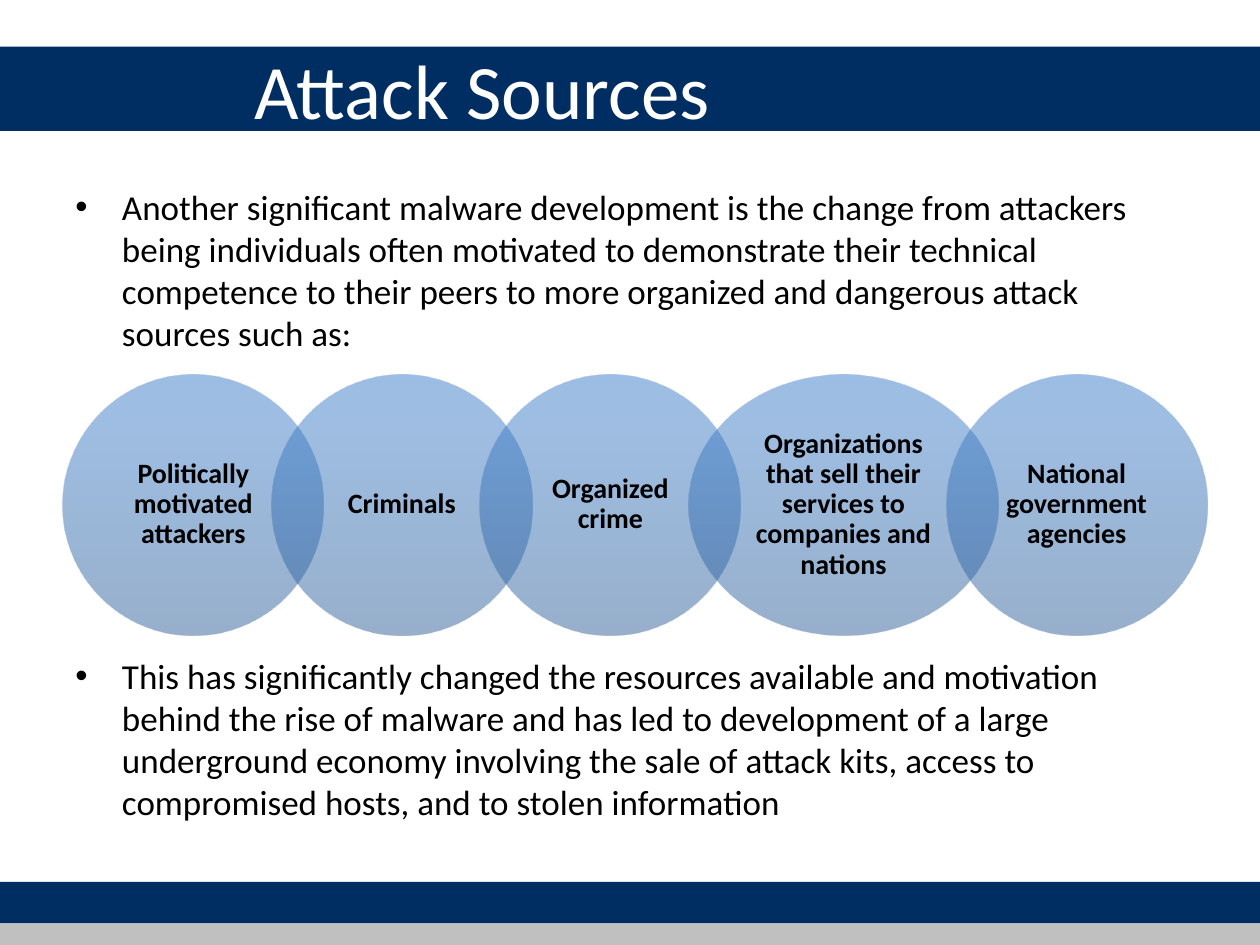
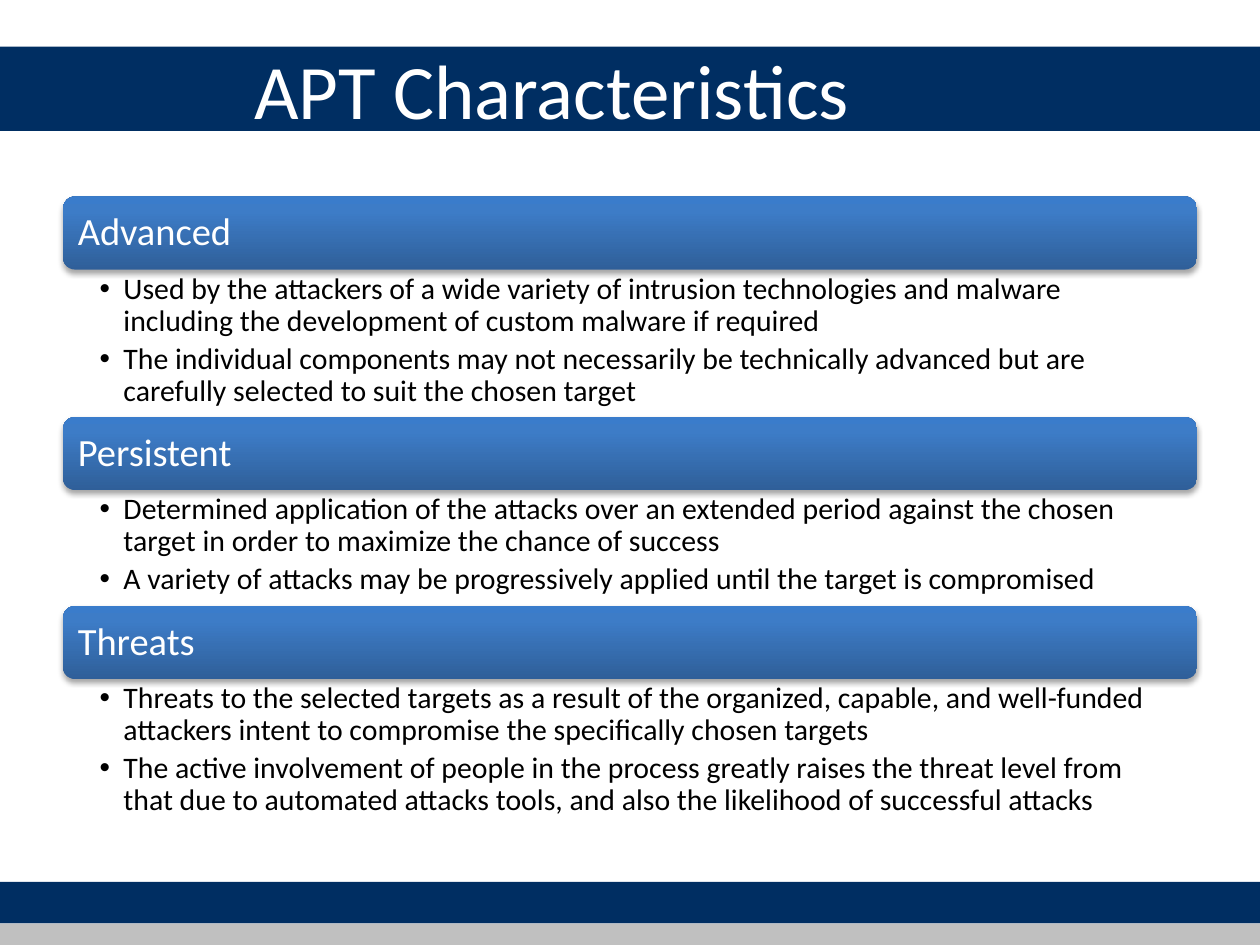
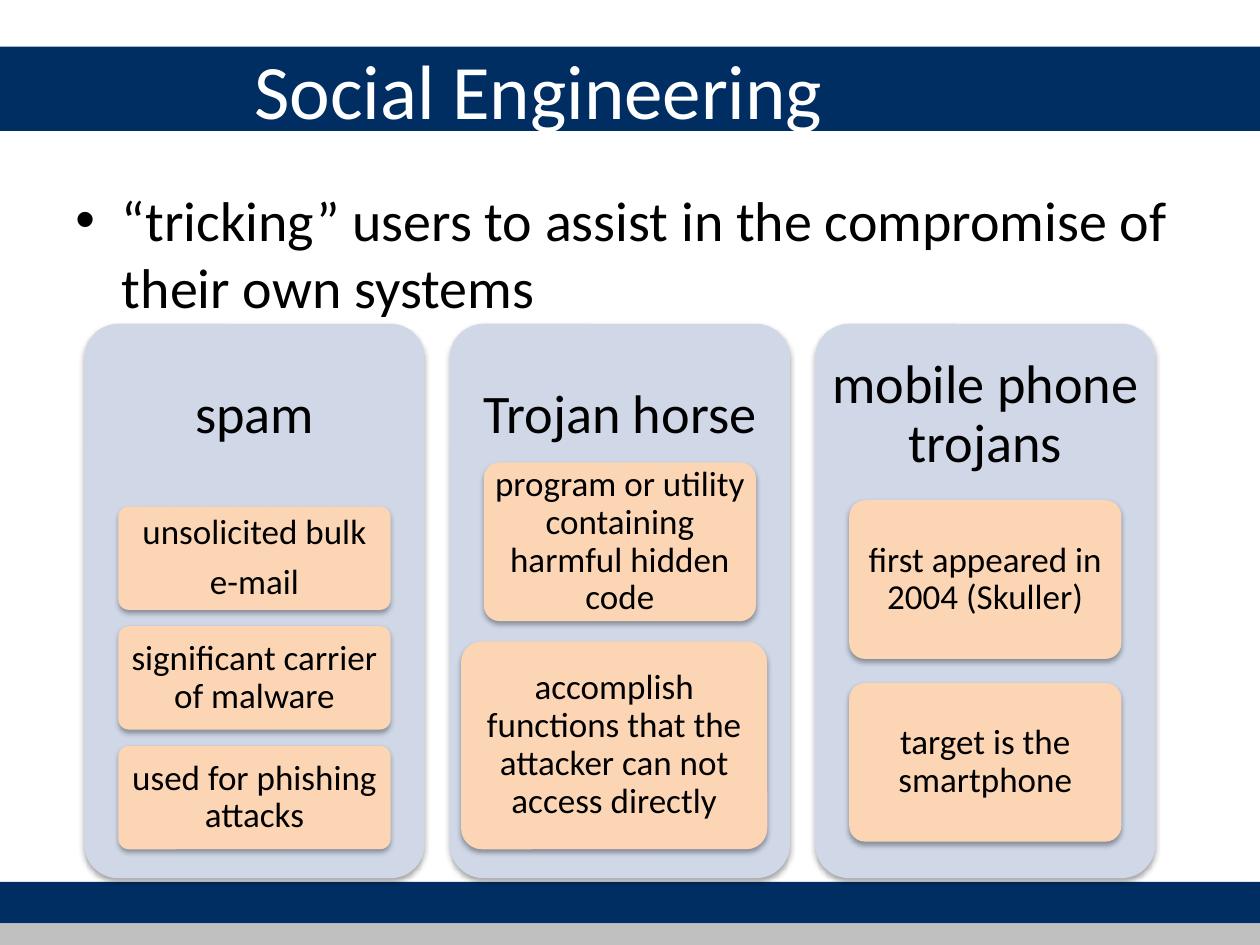
from dataclasses import dataclass

from pptx import Presentation
from pptx.dml.color import RGBColor
from pptx.enum.shapes import MSO_SHAPE as Shape
from pptx.enum.text import MSO_ANCHOR as Anchor, PP_ALIGN as Align
from pptx.oxml import parse_xml
from pptx.oxml.ns import nsdecls, qn
from pptx.util import Inches, Pt

COLORS = {
    "navy": "002E62", "silver": "C0C0C0", "white": "FFFFFF", "black": "000000",
    "card": "D0D8E8", "item": "FCD5B5",
}
BLUE_STOPS = ((0, "2F5F99"), (80, "3D7CC7"), (100, "3A7CCB"))
FONT = "Calibri"
CORNER = 0.1  # corner radius of cards and items, as a share of the shorter side
CORNER_INSET = 0.29  # share of the radius that a rounded shape keeps free of text


@dataclass
class Box:
    left: float
    top: float
    width: float
    height: float

    def lengths(self) -> list:
        return [Inches(v) for v in (self.left, self.top, self.width, self.height)]


@dataclass
class TextStyle:
    size: float
    color: str = "black"
    bold: bool = False
    align: Align = Align.LEFT
    anchor: Anchor = Anchor.MIDDLE
    insets: tuple = (0.1, 0.05, 0.1, 0.05)
    line_spacing: float = 1.0
    gap: float = 0  # points between paragraphs
    indent: float = 0  # hanging bullet indent in inches, 0 for no bullet


@dataclass
class Circle:
    text: str
    width: float = 2.07


@dataclass
class Section:
    heading: str
    bullets: list
    height: float


@dataclass
class Item:
    text: str
    top: float
    height: float
    offset: float = 0.27
    width: float = 2.16


@dataclass
class Card:
    heading: str
    items: list


BANDS = (
    (Box(0, 7, 10, 0.33), "navy"),
    (Box(0, 0.37, 10, 0.67), "navy"),
    (Box(0, 7.33, 10, 0.17), "silver"),
)
BODY = Box(0.5, 1.42, 9, 5.28)

TITLE_STYLE = TextStyle(44, "white")
CIRCLE_STYLE = TextStyle(16, bold=True, align=Align.CENTER,
                         insets=(0.11, 0.02, 0.11, 0.02), line_spacing=0.9)
HEADING_STYLE = TextStyle(22, "white", insets=(0.09,) * 4, line_spacing=0.9)
BULLET_STYLE = TextStyle(17, anchor=Anchor.TOP, insets=(0.29, 0.03, 0.17, 0.03),
                         line_spacing=0.9, gap=3.4, indent=0.19)

ATTACK_TEXT = [
    "Another significant malware development is the change from attackers being "
    "individuals often motivated to demonstrate their technical competence to their "
    "peers to more organized and dangerous attack sources such as:",
    "This has significantly changed the resources available and motivation behind the "
    "rise of malware and has led to development of a large underground economy "
    "involving the sale of attack kits, access to compromised hosts, and to stolen "
    "information",
]
SOURCES = [
    Circle("Politically motivated attackers"),
    Circle("Criminals"),
    Circle("Organized crime"),
    Circle("Organizations that sell their services to companies and nations", 2.46),
    Circle("National government agencies"),
]
SECTIONS = [
    Section("Advanced", [
        "Used by the attackers of a wide variety of intrusion technologies and malware "
        "including the development of custom malware if required",
        "The individual components may not necessarily be technically advanced but are "
        "carefully selected to suit the chosen target",
    ], 1.17),
    Section("Persistent", [
        "Determined application of the attacks over an extended period against the "
        "chosen target in order to maximize the chance of success",
        "A variety of attacks may be progressively applied until the target is "
        "compromised",
    ], 0.92),
    Section("Threats", [
        "Threats to the selected targets as a result of the organized, capable, and "
        "well-funded attackers intent to compromise the specifically chosen targets",
        "The active involvement of people in the process greatly raises the threat level "
        "from that due to automated attacks tools, and also the likelihood of successful "
        "attacks",
    ], 1.17),
]
CARDS = [
    Card("spam", [
        Item("unsolicited bulk\ne-mail", 4.02, 0.82),
        Item("significant carrier of malware", 4.97, 0.82),
        Item("used for phishing attacks", 5.92, 0.82),
    ]),
    Card("Trojan horse", [
        Item("program or utility containing harmful hidden code", 3.67, 1.26),
        Item("accomplish functions that the attacker can not access directly",
             5.09, 1.65, 0.09, 2.43),
    ]),
    Card("mobile phone trojans", [
        Item("first appeared in 2004 (Skuller)", 3.97, 1.26),
        Item("target is the smartphone", 5.42, 1.26),
    ]),
]


def add_bullet(p, indent: float) -> None:
    pPr = p._p.get_or_add_pPr()
    pPr.set("marL", str(Inches(indent)))
    pPr.set("indent", str(-Inches(indent)))
    pPr.append(parse_xml(f'<a:buFont {nsdecls("a")} typeface="Arial"/>'))
    pPr.append(parse_xml(f'<a:buChar {nsdecls("a")} char="•"/>'))


def write(sp, paragraphs: list, style: TextStyle) -> None:
    tf = sp.text_frame
    left, top, right, bottom = (Inches(v) for v in style.insets)
    frame = {"word_wrap": True, "vertical_anchor": style.anchor, "margin_left": left,
             "margin_top": top, "margin_right": right, "margin_bottom": bottom}
    for name, value in frame.items():
        setattr(tf, name, value)
    font = {"name": FONT, "size": Pt(style.size), "bold": style.bold}
    for i, text in enumerate(paragraphs):
        p = tf.paragraphs[0] if i == 0 else tf.add_paragraph()
        if style.indent:
            add_bullet(p, style.indent)
        p.alignment = style.align
        p.line_spacing = style.line_spacing
        p.space_before = Pt(style.gap if i else 0)
        r = p.add_run()
        r.text = text
        for name, value in font.items():
            setattr(r.font, name, value)
        r.font.color.rgb = RGBColor.from_string(COLORS[style.color])


def add_text(slide, box: Box, paragraphs: list, style: TextStyle) -> None:
    write(slide.shapes.add_textbox(*box.lengths()), paragraphs, style)


def add_shape(slide, kind: Shape, box: Box, color: str = ""):
    """Add a borderless shape without shadow, filled if a colour is named."""
    sp = slide.shapes.add_shape(kind, *box.lengths())
    sp.shadow.inherit = False
    sp.line.fill.background()
    if color:
        sp.fill.solid()
        sp.fill.fore_color.rgb = RGBColor.from_string(COLORS[color])
    return sp


def fill_blue(sp, alpha: int = 100) -> None:
    """Fill with the vertical blue gradient, at alpha percent opacity."""
    stops = "".join(
        f'<a:gs pos="{pos * 1000}"><a:srgbClr val="{color}">'
        f'<a:alpha val="{alpha * 1000}"/></a:srgbClr></a:gs>'
        for pos, color in BLUE_STOPS)
    geometry = sp._element.spPr.find(qn("a:prstGeom"))
    geometry.addnext(parse_xml(
        f'<a:gradFill {nsdecls("a")} rotWithShape="1"><a:gsLst>{stops}</a:gsLst>'
        '<a:lin ang="16200000" scaled="0"/></a:gradFill>'))


def add_shadow(sp) -> None:
    sp._element.spPr.find(qn("a:effectLst")).append(parse_xml(
        f'<a:outerShdw {nsdecls("a")} blurRad="{Pt(3.1)}" dist="{Pt(1.8)}" '
        f'dir="5400000" rotWithShape="0"><a:srgbClr val="{COLORS["black"]}">'
        '<a:alpha val="35000"/></a:srgbClr></a:outerShdw>'))


def add_panel(slide, box: Box, color: str, text: str, size: float,
              insets: tuple) -> None:
    """Add a rounded, shadowed panel; insets count from its outer edges."""
    sp = add_shape(slide, Shape.ROUNDED_RECTANGLE, box, color)
    sp.adjustments[0] = CORNER
    add_shadow(sp)
    corner = CORNER_INSET * CORNER * min(box.width, box.height)
    write(sp, text.split("\n"), TextStyle(
        size, align=Align.CENTER, line_spacing=0.9, gap=7,
        insets=tuple(max(v - corner, 0) for v in insets)))


def new_slide(prs, title: str):
    slide = prs.slides.add_slide(prs.slide_layouts[6])
    for box, color in BANDS:
        add_shape(slide, Shape.RECTANGLE, box, color)
    add_text(slide, Box(1.92, 0.08, 7.92, 1.25), [title], TITLE_STYLE)
    return slide


def add_body(slide, paragraphs: list, size: float, gap: float = 0) -> None:
    add_text(slide, BODY, paragraphs,
             TextStyle(size, anchor=Anchor.TOP, gap=gap, indent=0.37))


def attack_sources(prs) -> None:
    slide = new_slide(prs, "Attack Sources")
    add_body(slide, ATTACK_TEXT, 20, gap=172)
    left, overlap = 0.5, 0.415
    for circle in SOURCES:
        sp = add_shape(slide, Shape.OVAL, Box(left, 2.97, circle.width, 2.07))
        fill_blue(sp, alpha=50)
        write(sp, [circle.text], CIRCLE_STYLE)
        left += circle.width - overlap


def apt_characteristics(prs) -> None:
    slide = new_slide(prs, "APT Characteristics")
    top, bar_height = 1.56, 0.58
    for section in SECTIONS:
        bar = add_shape(slide, Shape.ROUNDED_RECTANGLE, Box(0.5, top, 9, bar_height))
        fill_blue(bar)
        add_shadow(bar)
        write(bar, [section.heading], HEADING_STYLE)
        top += bar_height
        add_text(slide, Box(0.5, top, 9, section.height), section.bullets, BULLET_STYLE)
        top += section.height


def social_engineering(prs) -> None:
    slide = new_slide(prs, "Social Engineering")
    add_body(slide, ["“tricking” users to assist in the compromise of their own systems"],
             32)
    for i, card in enumerate(CARDS):
        left = 0.67 + 2.9 * i
        add_panel(slide, Box(left, 2.57, 2.7, 4.4), "card", card.heading, 31,
                  (0.13, 0.13, 0.13, 3.07))
        for item in card.items:
            box = Box(left + item.offset, item.top, item.width, item.height)
            add_panel(slide, box, "item", item.text, 20, (0.08, 0.07, 0.08, 0.07))


def main() -> None:
    prs = Presentation()
    prs.slide_width, prs.slide_height = Inches(10), Inches(7.5)
    attack_sources(prs)
    apt_characteristics(prs)
    social_engineering(prs)
    prs.save("out.pptx")


if __name__ == "__main__":
    main()
